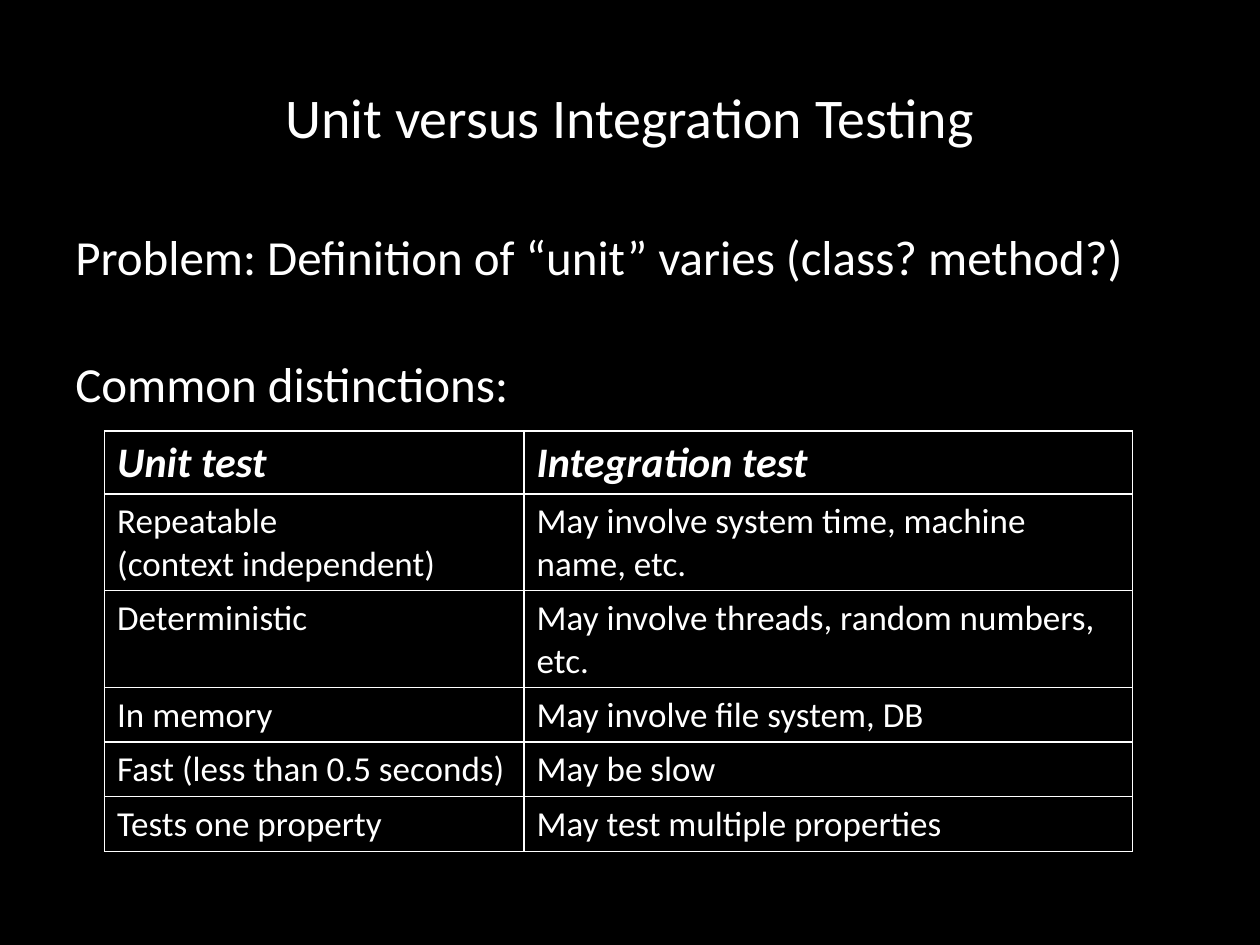
from dataclasses import dataclass

from lxml import etree
from pptx import Presentation
from pptx.dml.color import RGBColor
from pptx.enum import text
from pptx.oxml import ns
from pptx.util import Inches, Pt

TITLE = "Unit versus Integration Testing"
STATEMENTS = [
    "Problem: Definition of “unit” varies (class? method?)",
    "Common distinctions:",
]
DISTINCTIONS = [
    ("Unit test", "Integration test"),
    ("Repeatable\n(context independent)", "May involve system time, machine name, etc."),
    ("Deterministic", "May involve threads, random numbers, etc."),
    ("In memory", "May involve file system, DB"),
    ("Fast (less than 0.5 seconds)", "May be slow"),
    ("Tests one property", "May test multiple properties"),
]
COLUMN_WIDTHS = (3.33, 4.83)
ROW_HEIGHT = 0.41


@dataclass(frozen=True)
class Theme:
    """Colours, font and type sizes of the slide."""
    ground: str = "000000"
    ink: str = "FFFFFF"
    font: str = "Calibri"
    title: int = 32
    body: int = 28
    header: int = 24
    cell: int = 20
    statement_gap: int = 39
    border: int = 1


THEME = Theme()


def style(paragraph, size, emphasis=False):
    """Set the font of a whole paragraph."""
    font = paragraph.font
    font.name, font.size = THEME.font, Pt(size)
    font.bold = font.italic = emphasis
    font.color.rgb = RGBColor.from_string(THEME.ink)


def add_borders(cell):
    """Draw a line on all four sides of a cell."""
    properties = cell._tc.get_or_add_tcPr()
    for position, side in enumerate(("lnL", "lnR", "lnT", "lnB")):
        line = etree.Element(ns.qn(f"a:{side}"), w=str(Pt(THEME.border)))
        fill = etree.SubElement(line, ns.qn("a:solidFill"))
        etree.SubElement(fill, ns.qn("a:srgbClr"), val=THEME.ink)
        properties.insert(position, line)


def add_title(slide):
    """Place and format the title."""
    title = slide.shapes.title
    title.left, title.top = Inches(0.5), Inches(0.3)
    title.width, title.height = Inches(9), Inches(1.25)
    frame = title.text_frame
    frame.text = TITLE
    frame.vertical_anchor = text.MSO_ANCHOR.MIDDLE
    frame.paragraphs[0].alignment = text.PP_ALIGN.CENTER
    style(frame.paragraphs[0], THEME.title)


def add_statements(slide):
    """Write the statements above the table."""
    body = slide.shapes.add_textbox(Inches(0.5), Inches(1.75), Inches(9), Inches(4.95))
    frame = body.text_frame
    frame.word_wrap = True
    frame.text = "\n".join(STATEMENTS)
    for index, paragraph in enumerate(frame.paragraphs):
        paragraph.space_before = Pt(THEME.statement_gap if index else 0)
        style(paragraph, THEME.body)


def add_distinctions(slide):
    """Build the table that compares the two kinds of test."""
    table = slide.shapes.add_table(
        len(DISTINCTIONS), len(COLUMN_WIDTHS), Inches(0.83), Inches(3.42),
        Inches(sum(COLUMN_WIDTHS)), Inches(ROW_HEIGHT * len(DISTINCTIONS))).table
    table.first_row = table.horz_banding = False
    for column, width in zip(table.columns, COLUMN_WIDTHS):
        column.width = Inches(width)
    for row, wording in enumerate(DISTINCTIONS):
        is_header = row == 0
        for cell, words in zip(table.rows[row].cells, wording):
            cell.fill.background()
            add_borders(cell)
            paragraph = cell.text_frame.paragraphs[0]
            paragraph.text = words
            style(paragraph, THEME.header if is_header else THEME.cell, is_header)


def build():
    """Build and save the slide."""
    deck = Presentation()
    deck.slide_width, deck.slide_height = Inches(10), Inches(7.5)
    slide = deck.slides.add_slide(deck.slide_layouts.get_by_name("Title Only"))
    slide.background.fill.solid()
    slide.background.fill.fore_color.rgb = RGBColor.from_string(THEME.ground)
    add_title(slide)
    add_statements(slide)
    add_distinctions(slide)
    deck.save("out.pptx")


build()
